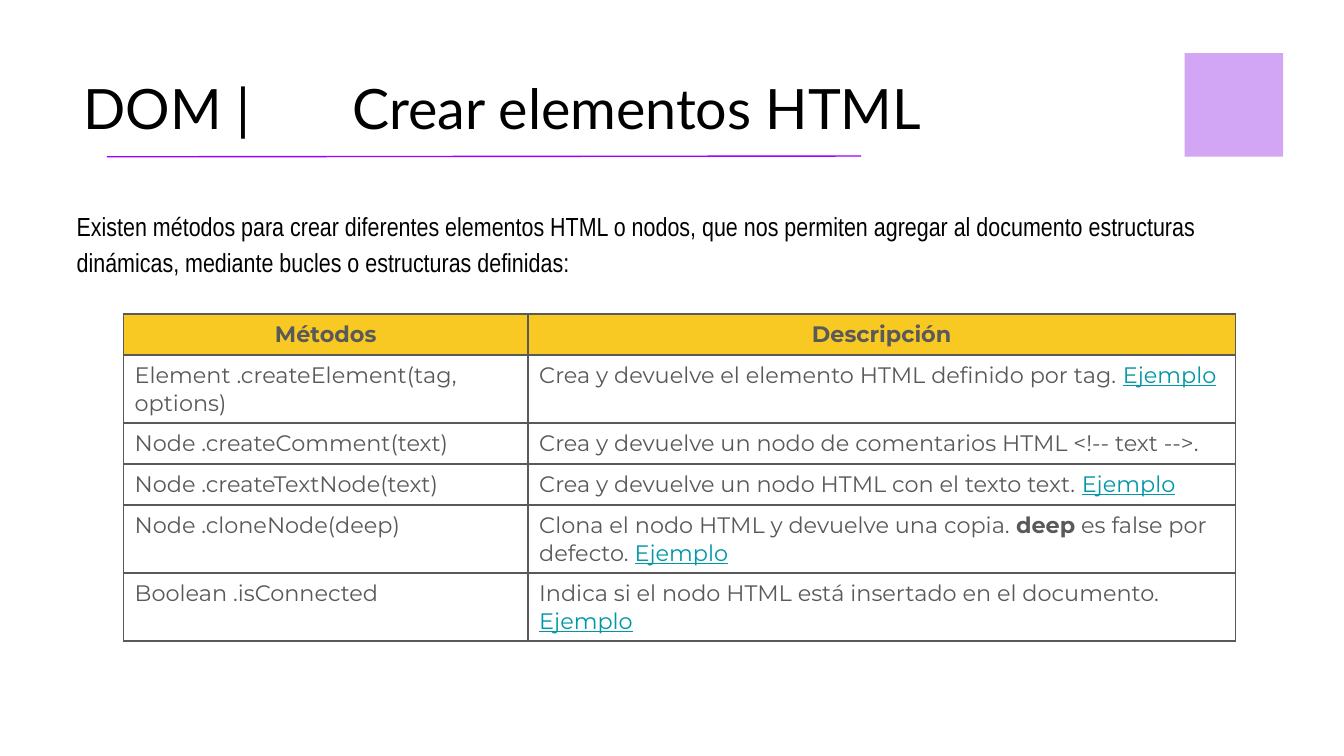
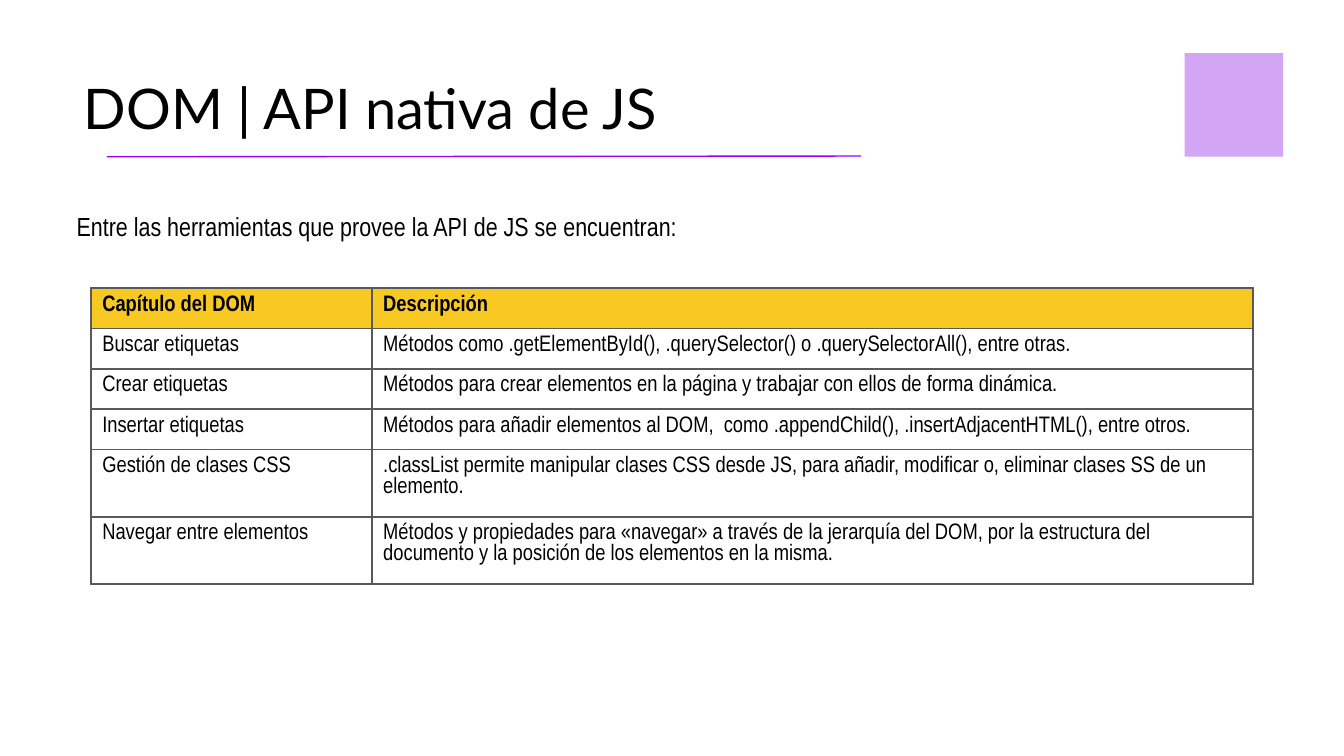
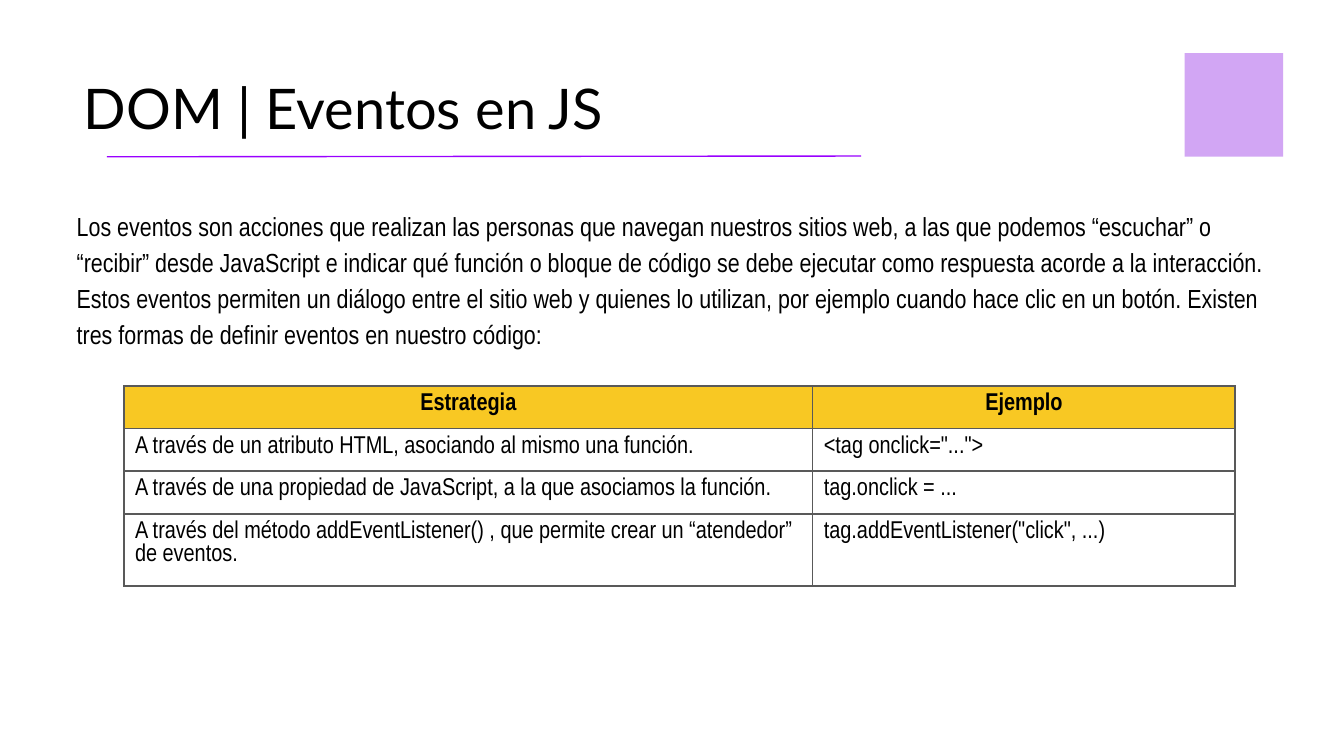
from dataclasses import dataclass

from lxml import etree
from pptx import Presentation
from pptx import util as u
from pptx.dml.color import RGBColor
from pptx.enum import shapes, text
from pptx.oxml.ns import qn

Pt = u.Pt
HUES = {
    "ink": "000000", "grey": "595959", "link": "0097A7",
    "head": "F8C823", "block": "D2A6F4", "rule": "9900FF",
}


@dataclass(frozen=True)
class Bit:
    """A piece of cell text with its own look."""
    words: str
    bold: bool = False
    link: bool = False


@dataclass(frozen=True)
class Grid:
    left: float
    top: float
    cols: list[float]
    tall: list[float]
    rows: list[list]
    font: str = "Arial Narrow"
    size: float = 12
    hue: str = "ink"
    mid_head: bool = True


@dataclass(frozen=True)
class Page:
    title: str
    intro: str
    grid: Grid
    size: float = 30
    width: float = 526.5
    after: float = 0


def tint(name: str) -> RGBColor:
    return RGBColor.from_string(HUES[name])


def add_run(para, words: str, font: str, size: float, hue: str,
            bold: bool = False, line: bool = False) -> None:
    run = para.add_run()
    run.text = words
    face = run.font
    face.name, face.size, face.bold = font, Pt(size), bold
    face.color.rgb = tint(hue)
    if line:
        face.underline = True


def add_tab(para, pos: float) -> None:
    stops = etree.SubElement(para._p.get_or_add_pPr(), qn("a:tabLst"))
    etree.SubElement(stops, qn("a:tab"), pos=str(Pt(pos)), algn="l")


def add_text(slide, box: tuple, words: str, font: str, size: float,
             space: float, after: float = 0, low: bool = False) -> None:
    frame = slide.shapes.add_textbox(*map(Pt, box)).text_frame
    frame.word_wrap = True
    frame.margin_left = frame.margin_right = Pt(7.2)
    frame.margin_top = frame.margin_bottom = Pt(7.2)
    frame.vertical_anchor = text.MSO_ANCHOR.BOTTOM if low else text.MSO_ANCHOR.TOP
    para = frame.paragraphs[0]
    para.line_spacing = space
    para.space_after = Pt(after)
    if "\t" in words:
        add_tab(para, 144)
    add_run(para, words, font, size, "ink")


def add_edge(cell) -> None:
    """Give a cell the same thin border on all four sides."""
    props = cell._tc.get_or_add_tcPr()
    for side in ("lnL", "lnR", "lnT", "lnB"):
        line = etree.SubElement(props, qn(f"a:{side}"), w=str(Pt(0.96)))
        fill = etree.SubElement(line, qn("a:solidFill"))
        etree.SubElement(fill, qn("a:srgbClr"), val=HUES["grey"])


def fill_cell(cell, item, grid: Grid, head: bool) -> None:
    cell.margin_left = cell.margin_right = Pt(6)
    cell.margin_top = cell.margin_bottom = Pt(3.6)
    add_edge(cell)
    if head:
        cell.fill.solid()
        cell.fill.fore_color.rgb = tint("head")
    else:
        cell.fill.background()
    para = cell.text_frame.paragraphs[0]
    if head and grid.mid_head:
        para.alignment = text.PP_ALIGN.CENTER
    for bit in [Bit(item)] if isinstance(item, str) else item:
        add_run(para, bit.words, grid.font, grid.size,
                "link" if bit.link else grid.hue, head or bit.bold, bit.link)


def add_grid(slide, grid: Grid) -> None:
    table = slide.shapes.add_table(
        len(grid.rows), len(grid.cols), Pt(grid.left), Pt(grid.top),
        Pt(sum(grid.cols)), Pt(sum(grid.tall))).table
    table.first_row = table.horz_banding = False
    for col, width in zip(table.columns, grid.cols):
        col.width = Pt(width)
    for r, (row, tall) in enumerate(zip(grid.rows, grid.tall)):
        table.rows[r].height = Pt(tall)
        for c, item in enumerate(row):
            fill_cell(table.cell(r, c), item, grid, r == 0)


def add_frame(slide) -> None:
    """Corner block and the rule under the title."""
    block = slide.shapes.add_shape(
        shapes.MSO_SHAPE.RECTANGLE, Pt(634.6), Pt(28.5), Pt(52.8), Pt(55.5))
    block.shadow.inherit = False
    block.fill.solid()
    block.fill.fore_color.rgb = tint("block")
    block.line.fill.background()
    rule = slide.shapes.add_connector(
        shapes.MSO_CONNECTOR.STRAIGHT, Pt(57.3), Pt(84), Pt(461.3), Pt(83.6))
    rule.line.color.rgb = tint("rule")
    rule.line.width = Pt(0.75)
    etree.SubElement(rule._element.spPr, qn("a:effectLst"))


def add_page(deck, page: Page) -> None:
    slide = deck.slides.add_slide(deck.slide_layouts[6])
    add_frame(slide)
    add_text(slide, (34, 103, 660, 261.5), page.intro, "Arial Narrow", 14,
             1.15, page.after)
    add_grid(slide, page.grid)
    add_text(slide, (37.8, 33, page.width, 49.5), page.title, "Lato",
             page.size, 0.8, low=True)


DEMO = Bit("Ejemplo", link=True)

PAGES = [
    Page(
        "DOM | \tCrear elementos HTML",
        "Existen métodos para crear diferentes elementos HTML o nodos, que nos "
        "permiten agregar al documento estructuras dinámicas, mediante bucles o "
        "estructuras definidas:",
        Grid(66.2, 168.3, [216.7, 379], [22, 36.4, 22, 22, 36.4, 36.4], [
            ["Métodos", "Descripción"],
            ["Element .createElement(tag, options)",
             [Bit("Crea y devuelve el elemento HTML definido por tag. "), DEMO]],
            ["Node .createComment(text)",
             "Crea y devuelve un nodo de comentarios HTML <!-- text -->."],
            ["Node .createTextNode(text)",
             [Bit("Crea y devuelve un nodo HTML con el texto text. "), DEMO]],
            ["Node .cloneNode(deep)",
             [Bit("Clona el nodo HTML y devuelve una copia. "),
              Bit("deep", bold=True), Bit(" es false por defecto. "), DEMO]],
            ["Boolean .isConnected",
             [Bit("Indica si el nodo HTML está insertado en el documento. "), DEMO]],
        ], font="Montserrat", hue="grey"),
        size=29.8, width=633.6),
    Page(
        "DOM | API nativa de JS",
        "Entre las herramientas que provee la API de JS se encuentran:",
        Grid(48.8, 154.3, [150.5, 472], [18.8, 19, 19.5, 19.7, 31.4, 31.4], [
            ["Capítulo del DOM", "Descripción"],
            ["Buscar etiquetas",
             "Métodos como .getElementById(), .querySelector() o "
             ".querySelectorAll(), entre otras."],
            ["Crear etiquetas",
             "Métodos para crear elementos en la página y trabajar con ellos de "
             "forma dinámica."],
            ["Insertar etiquetas",
             "Métodos para añadir elementos al DOM,  como .appendChild(), "
             ".insertAdjacentHTML(), entre otros."],
            ["Gestión de clases CSS",
             ".classList permite manipular clases CSS desde JS, para añadir, "
             "modificar o, eliminar clases SS de un elemento."],
            ["Navegar entre elementos",
             "Métodos y propiedades para «navegar» a través de la jerarquía del "
             "DOM, por la estructura del documento y la posición de los elementos "
             "en la misma."],
        ], mid_head=False),
        after=12),
    Page(
        "DOM | Eventos en JS",
        "Los eventos son acciones que realizan las personas que navegan nuestros "
        "sitios web, a las que podemos “escuchar” o “recibir” desde JavaScript e "
        "indicar qué función o bloque de código se debe ejecutar como respuesta "
        "acorde a la interacción. Estos eventos permiten un diálogo entre el sitio "
        "web y quienes lo utilizan, por ejemplo cuando hace clic en un botón. "
        "Existen tres formas de definir eventos en nuestro código:",
        Grid(66.4, 206.8, [369, 226.3], [21, 21, 21, 35.5], [
            ["Estrategia", "Ejemplo"],
            ["A través de un atributo HTML, asociando al mismo una función.",
             '<tag onclick="...">'],
            ["A través de una propiedad de JavaScript, a la que asociamos la función.",
             "tag.onclick = ..."],
            ["A través del método addEventListener() , que permite crear un "
             "“atendedor” de eventos.",
             'tag.addEventListener("click", ...)'],
        ], size=13)),
]


def main() -> None:
    deck = Presentation()
    deck.slide_width, deck.slide_height = Pt(720), Pt(405)
    for page in PAGES:
        add_page(deck, page)
    deck.save("out.pptx")


if __name__ == "__main__":
    main()
